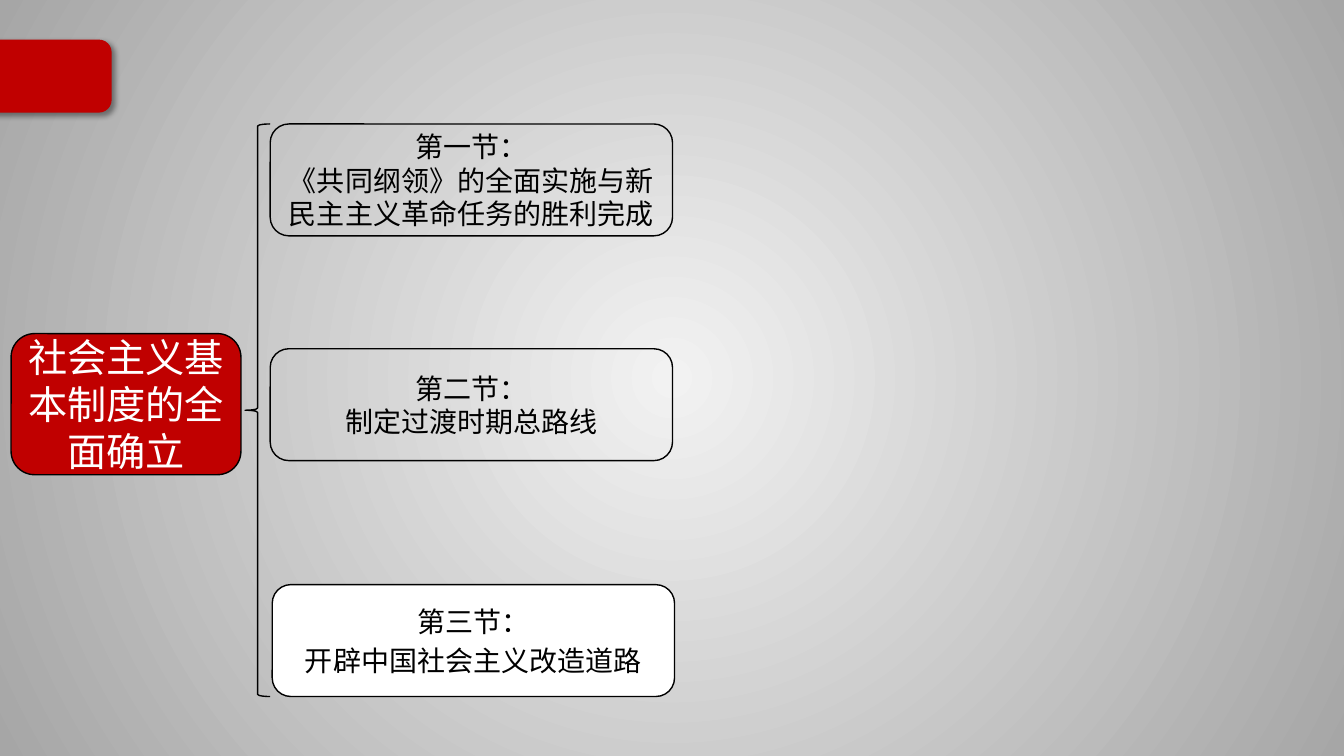
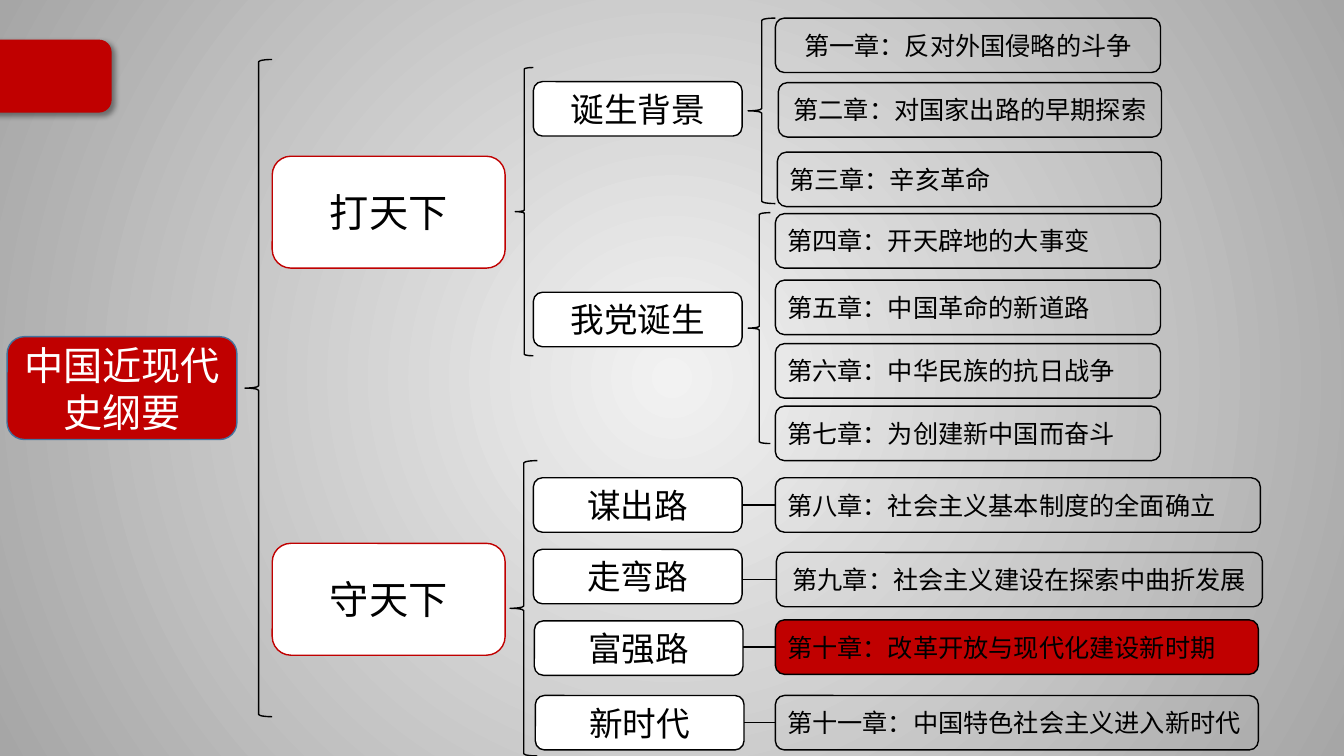
"""Build two mind-map slides on the founding of the socialist system."""
from lxml.etree import SubElement
from pptx import Presentation
from pptx.dml.color import RGBColor
from pptx.enum.shapes import MSO_CONNECTOR, MSO_SHAPE
from pptx.enum.text import MSO_ANCHOR, PP_ALIGN
from pptx.oxml.ns import qn
from pptx.util import Inches, Pt

RED = RGBColor(0xC0, 0x00, 0x00)
BLACK = RGBColor(0x00, 0x00, 0x00)
WHITE = RGBColor(0xFF, 0xFF, 0xFF)
BLUE = RGBColor(0x43, 0x73, 0x9E)
PALE = RGBColor(0xF2, 0xF2, 0xF2)
GREY = RGBColor(0xA6, 0xA6, 0xA6)
FONT = "Noto Sans CJK SC"
LEFT, CENTER = PP_ALIGN.LEFT, PP_ALIGN.CENTER

ROOT_W, SECTION_W, PART_W, BRANCH_W = 2.28, 3.99, 2.31, 2.07
BIG_H, SMALL_H = 1.11, 0.54

SECTIONS = [
    (2.68, 1.23, None, 0, ["第一节：", "《共同纲领》的全面实施与新民主主义革命任务的胜利完成"]),
    (2.68, 3.46, None, 0, ["第二节：", "制定过渡时期总路线"]),
    (2.7, 5.8, WHITE, 4, ["第三节：", "开辟中国社会主义改造道路"]),
]
PARTS = [("打天下", 1.55), ("守天下", 5.39)]
BRANCHES = [
    ("诞生背景", 5.29, 0.81),
    ("我党诞生", 5.29, 2.9),
    ("谋出路", 5.29, 4.74),
    ("走弯路", 5.29, 5.45),
    ("富强路", 5.3, 6.16),
    ("新时代", 5.31, 6.9),
]
CHAPTERS = [
    ("第一章：反对外国侵略的斗争", 7.69, 0.18, 3.82, CENTER, None),
    ("第二章：对国家出路的早期探索", 7.72, 0.82, 3.8, CENTER, None),
    ("第三章：辛亥革命", 7.71, 1.51, 3.81, LEFT, None),
    ("第四章：开天辟地的大事变", 7.69, 2.12, 3.82, LEFT, None),
    ("第五章：中国革命的新道路", 7.69, 2.78, 3.82, LEFT, None),
    ("第六章：中华民族的抗日战争", 7.69, 3.41, 3.82, LEFT, None),
    ("第七章：为创建新中国而奋斗", 7.69, 4.03, 3.82, LEFT, None),
    ("第八章：社会主义基本制度的全面确立", 7.69, 4.74, 4.81, LEFT, None),
    ("第九章：社会主义建设在探索中曲折发展", 7.7, 5.48, 4.82, CENTER, None),
    ("第十章：改革开放与现代化建设新时期", 7.69, 6.15, 4.79, LEFT, RED),
    ("第十一章：中国特色社会主义进入新时代", 7.69, 6.9, 4.79, LEFT, None),
]
SECTION_BRACE = (2.43, 1.23, 0.25, 5.68)
OUTLINE_BRACES = [
    (2.43, 0.59, 0.27, 6.52),
    (5.11, 0.67, 0.18, 2.86),
    (5.06, 4.57, 0.27, 2.93),
    (7.42, 0.18, 0.27, 1.84),
    (7.42, 2.11, 0.22, 2.29),
]


def add_shape(s, kind, at, fill=None, line=BLACK):
    """Add a flat preset shape, unfilled unless a colour is given."""
    sp = s.shapes.add_shape(kind, *map(Inches, at))
    sp.shadow.inherit = False
    if fill is None:
        sp.fill.background()
    else:
        sp.fill.solid()
        sp.fill.fore_color.rgb = fill
    sp.line.color.rgb = line
    sp.line.width = Pt(1)
    return sp


def add_text(tf, lines, size=18, color=BLACK, align=CENTER, gap=0):
    """Write one paragraph per line into a text frame."""
    tf.word_wrap = True
    tf.vertical_anchor = MSO_ANCHOR.MIDDLE
    tf.margin_left = tf.margin_right = Inches(0.09)
    for i, text in enumerate(lines):
        p = tf.add_paragraph() if i else tf.paragraphs[0]
        p.alignment = align
        if i and gap:
            p.space_before = Pt(gap)
        r = p.add_run()
        r.text = text
        r.font.size = Pt(size)
        r.font.name = FONT
        r.font.color.rgb = color
        SubElement(r.font._element, qn("a:ea"), typeface=FONT)


def add_box(s, lines, at, fill=None, line=BLACK, **style):
    """Add a rounded box holding text."""
    sp = add_shape(s, MSO_SHAPE.ROUNDED_RECTANGLE, at, fill, line)
    add_text(sp.text_frame, lines, **style)


def add_brace(s, at):
    """Add an opening brace."""
    add_shape(s, MSO_SHAPE.LEFT_BRACE, at)


def add_line(s, x1, y1, x2, y2):
    """Add a thin black connector."""
    c = s.shapes.add_connector(MSO_CONNECTOR.STRAIGHT, *map(Inches, (x1, y1, x2, y2)))
    c.line.color.rgb = BLACK
    c.line.width = Pt(1)
    SubElement(c._element.spPr, qn("a:effectLst"))


def set_background(master):
    """Give the master a radial grey gradient."""
    fill = master.background.fill
    fill.gradient()
    for stop, color in zip(fill.gradient_stops, (PALE, GREY)):
        stop.color.rgb = color
    grad = master._element.find(".//" + qn("p:bgPr")).find(qn("a:gradFill"))
    grad.remove(grad.find(qn("a:lin")))
    circle = SubElement(grad, qn("a:path"), path="circle")
    SubElement(circle, qn("a:fillToRect"), l="50000", t="50000", r="50000", b="50000")


def add_tab(s, master):
    """Draw the red shadowed tab and move it to the master."""
    sp = add_shape(s, MSO_SHAPE.ROUNDED_RECTANGLE, (-0.18, 0.4, 1.28, 0.71), RED, RED)
    effects = sp._element.spPr.find(qn("a:effectLst"))
    shadow = SubElement(effects, qn("a:outerShdw"), blurRad=str(Pt(4)), dist=str(Pt(3)),
                        dir="2700000", algn="tl", rotWithShape="0")
    color = SubElement(shadow, qn("a:srgbClr"), val=str(BLACK))
    SubElement(color, qn("a:alpha"), val="40000")
    master.shapes._spTree.append(sp._element)


def build_sections(s):
    """Draw the chapter with its three sections."""
    add_box(s, ["社会主义基本制度的全面确立"], (0.11, 3.31, ROOT_W, 1.4), RED,
            size=28, color=WHITE)
    add_brace(s, SECTION_BRACE)
    for x, y, fill, gap, lines in SECTIONS:
        add_box(s, lines, (x, y, SECTION_W, BIG_H), fill, size=20, gap=gap)


def build_outline(s):
    """Draw the course outline from root to chapters."""
    add_box(s, ["中国近现代史纲要"], (0.07, 3.34, ROOT_W, 1.02), RED, BLUE,
            size=28, color=WHITE)
    for at in OUTLINE_BRACES:
        add_brace(s, at)
    for text, y in PARTS:
        add_box(s, [text], (2.7, y, PART_W, BIG_H), WHITE, RED, size=28)
    for text, x, y in BRANCHES:
        add_box(s, [text], (x, y, BRANCH_W, SMALL_H), WHITE, size=24)
    for text, x, y, w, align, fill in CHAPTERS:
        add_box(s, [text], (x, y, w, SMALL_H), fill, align=align)
    for branch, chapter in zip(BRANCHES[-4:], CHAPTERS[-4:]):
        mid = chapter[2] + SMALL_H / 2
        add_line(s, chapter[1], mid, branch[1] + BRANCH_W, mid)


def main():
    """Build and save the presentation."""
    prs = Presentation()
    prs.slide_width, prs.slide_height = Inches(13.33), Inches(7.5)
    master = prs.slide_master
    set_background(master)
    for sp in list(master.placeholders):
        if sp.placeholder_format.idx > 1:
            sp._element.getparent().remove(sp._element)
    blank = prs.slide_layouts[6]
    slides = [prs.slides.add_slide(blank) for _ in range(2)]
    add_tab(slides[0], master)
    for s, build in zip(slides, (build_sections, build_outline)):
        build(s)
    prs.save("out.pptx")


if __name__ == "__main__":
    main()
